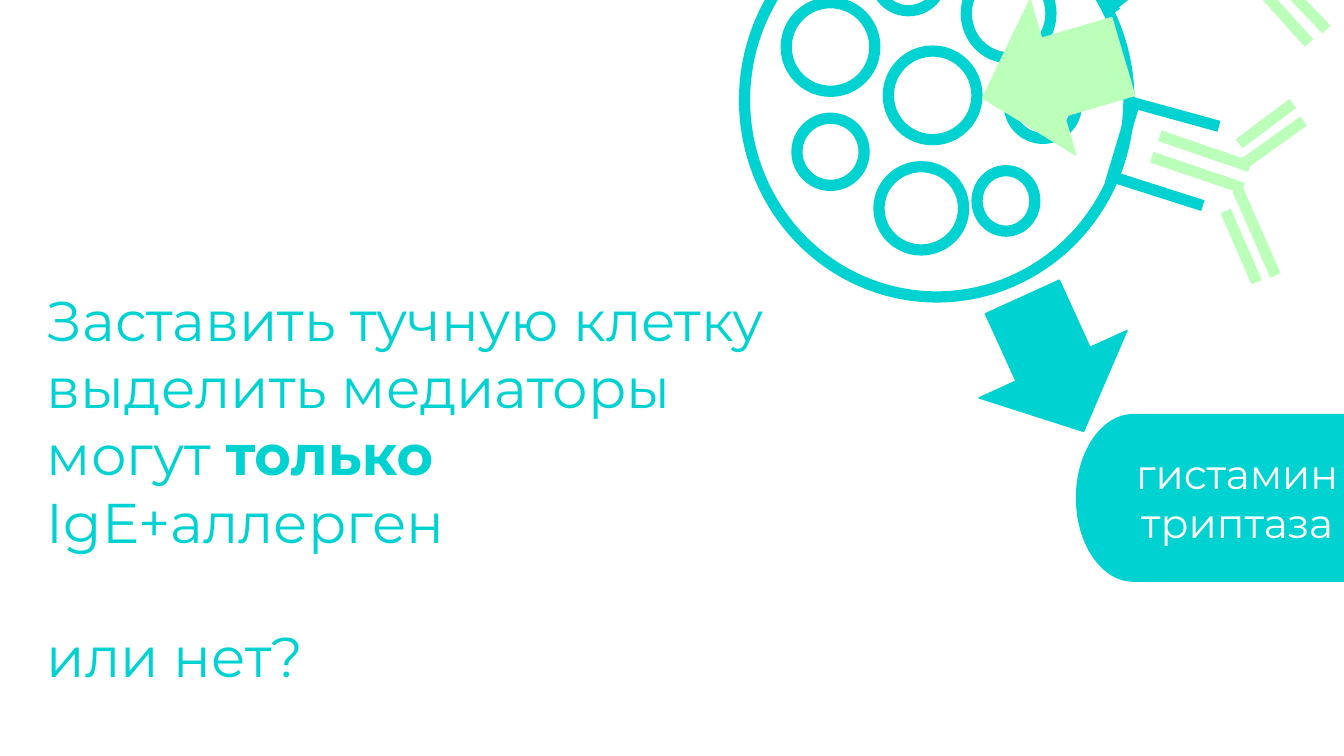
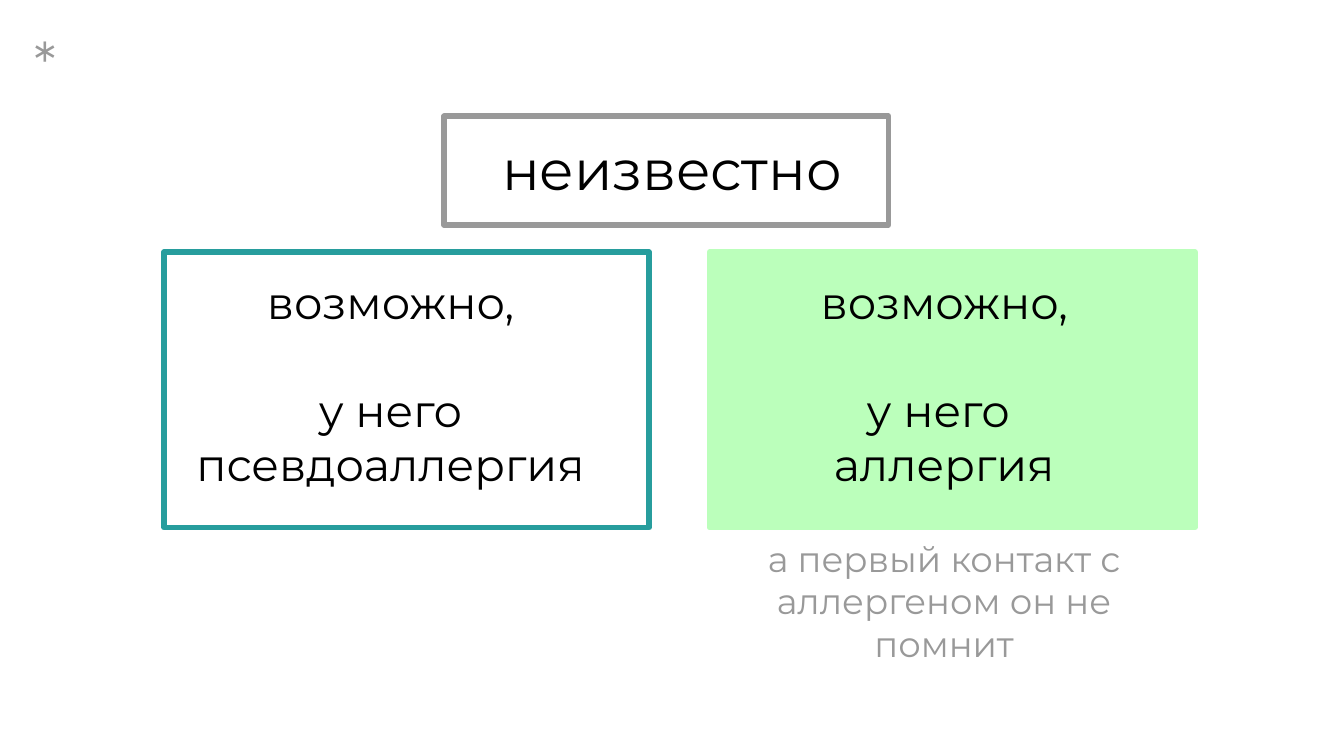
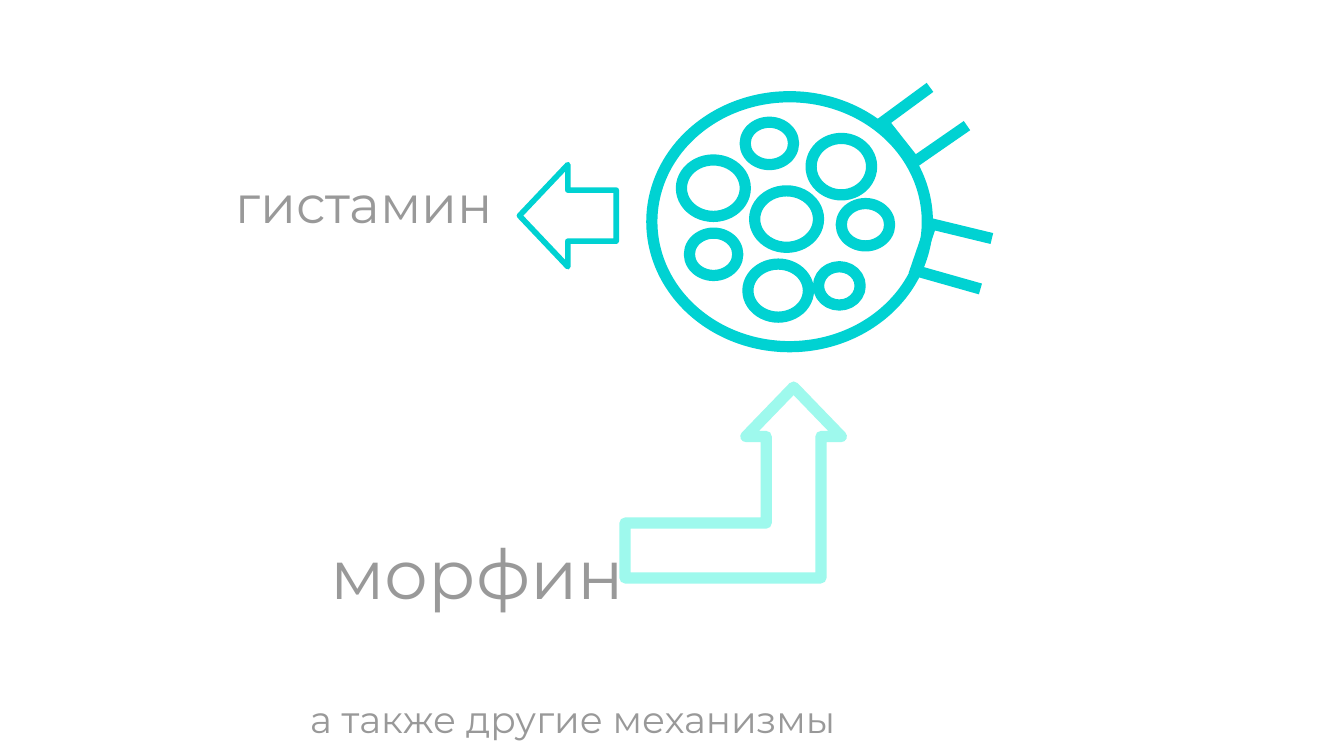
"""Build three slides on how a mast cell can be made to release mediators."""
import pptx
import pptx.dml.color
import pptx.enum.shapes
import pptx.enum.text
import pptx.oxml
import pptx.oxml.ns
import pptx.util

PX = 4572
FONT = "Montserrat"
TEAL, GREEN, MINT, DARK_TEAL = "00D2D2", "BBFFBB", "9EF9ED", "279D9D"
GREY, BLACK, WHITE = "999999", "000000", "FFFFFF"
SHAPE = pptx.enum.shapes.MSO_SHAPE
ALIGN = pptx.enum.text.PP_ALIGN
ANCHOR = pptx.enum.text.MSO_ANCHOR
rgb = pptx.dml.color.RGBColor.from_string


def add_shape(s, kind, box, fill, line, width, rotation=0, adjustments=()):
    sp = s.shapes.add_shape(kind, *[round(v) * PX for v in box])
    sp.shadow.inherit = False
    sp.rotation = rotation
    for i, value in enumerate(adjustments):
        sp.adjustments[i] = value
    if fill:
        sp.fill.solid()
        sp.fill.fore_color.rgb = rgb(fill)
    else:
        sp.fill.background()
    if line:
        sp.line.color.rgb = rgb(line)
        sp.line.width = pptx.util.Pt(width)
    else:
        sp.line.fill.background()


def add_text(s, box, text, size, color, align=ALIGN.LEFT, anchor=ANCHOR.BOTTOM):
    tf = s.shapes.add_textbox(*[v * PX for v in box]).text_frame
    tf.word_wrap = True
    tf.vertical_anchor = anchor
    tf.margin_left = tf.margin_right = tf.margin_top = tf.margin_bottom = 20 * PX
    tf.text = text
    for p in tf.paragraphs:
        p.alignment = align
        for r in p.runs:
            r.font.name = FONT
            r.font.size = pptx.util.Pt(size)
            r.font.color.rgb = rgb(color)
    return tf


prs = pptx.Presentation()
prs.slide_width, prs.slide_height = 2000 * PX, 1125 * PX
question, unknown, morphine = [
    prs.slides.add_slide(prs.slide_layouts[6]) for _ in range(3)]

cell = (0, 0, 572, 586)
granules = [
    (194, 60, 100, 100), (214, 220, 132, 132), (330, 98, 126, 132),
    (394, 250, 100, 100), (346, 398, 86, 90), (200, 392, 126, 124),
    (62, 148, 132, 132), (78, 320, 100, 100),
]
receptors = [
    (480, 58, 552, 162), (542, 156, 654, 68), (580, 298, 544, 418),
    (568, 294, 706, 332), (544, 406, 682, 450),
]
upper_arm = (468, 70, 578, -22)
antibodies = [
    (1714, 234, 1850, 280), (1726, 202, 1860, 248), (1842, 282, 1898, 410),
    (1848, 246, 1940, 180), (1824, 314, 1870, 420), (1924, 154, 1844, 214),
    (1880, -54, 1974, 44), (1874, -18, 1948, 64),
]

lines = [(question, GREEN, ends) for ends in antibodies]
for s, left, top, width, height, arms in [
        (question, 1108, -144, 572, 586, receptors),
        (morphine, 970, 144, 410, 372, receptors + [upper_arm])]:
    kx, ky = width / cell[2], height / cell[3]
    for x, y, w, h in [cell] + granules:
        box = (left + x * kx, top + y * ky, w * kx, h * ky)
        add_shape(s, SHAPE.OVAL, box, WHITE, TEAL, 6)
    for x1, y1, x2, y2 in arms:
        ends = (left + x1 * kx, top + y1 * ky, left + x2 * kx, top + y2 * ky)
        lines.append((s, TEAL, ends))

for s, color, ends in lines:
    c = s.shapes.add_connector(
        pptx.enum.shapes.MSO_CONNECTOR.STRAIGHT, *[round(v) * PX for v in ends])
    c.line.color.rgb = rgb(color)
    c.line.width = pptx.util.Pt(6)
    c._element.spPr.append(
        pptx.oxml.parse_xml("<a:effectLst %s/>" % pptx.oxml.ns.nsdecls("a")))

s = question
add_shape(s, SHAPE.DOWN_ARROW, (1446, 6, 242, 218), GREEN, GREEN, 0.75, 73.6)
add_shape(s, SHAPE.DOWN_ARROW, (1446, 432, 242, 220), TEAL, TEAL, 0.75, 335.5)
add_shape(s, SHAPE.FLOWCHART_TERMINATOR, (1601, 616, 534, 250), TEAL, None, 0)
add_text(s, (1609, 647, 464, 188), "гистамин\nтриптаза", 22, WHITE,
         ALIGN.CENTER, ANCHOR.TOP)
tf = add_text(
    s, (50, 189, 1170, 856),
    "Заставить тучную клетку выделить медиаторы могут \nIgE+аллерген\nили нет?",
    30, TEAL)
r = tf.paragraphs[0].add_run()
r.text = "только"
r.font.name = FONT
r.font.size = pptx.util.Pt(30)
r.font.bold = True
r.font.color.rgb = rgb(TEAL)
tf.paragraphs[2].space_before = pptx.util.Pt(36)

s = unknown
add_shape(s, SHAPE.RECTANGLE, (1056, 375, 722, 410), GREEN, GREEN, 3)
add_shape(s, SHAPE.RECTANGLE, (244, 375, 722, 410), None, DARK_TEAL, 3)
add_shape(s, SHAPE.RECTANGLE, (661, 173, 661, 162), None, GREY, 3)
add_text(s, (378, 180, 1244, 140), "неизвестно", 30, BLACK, ALIGN.CENTER)
for left, text in [(264, "возможно,\nу него псевдоаллергия"),
                   (1088, "возможно,\nу него \nаллергия")]:
    tf = add_text(s, (left, 410, 634, 340), text, 24, BLACK, ALIGN.CENTER)
    tf.paragraphs[1].space_before = pptx.util.Pt(29)
add_text(s, (1088, 669, 634, 340), "а первый контакт с аллергеном он не помнит",
         19, GREY, ALIGN.CENTER)
add_text(s, (32, 21, 1572, 142), "*", 30, GREY, anchor=ANCHOR.TOP)

s = morphine
add_shape(s, SHAPE.BENT_UP_ARROW, (930, 576, 322, 284), WHITE, MINT, 6,
          adjustments=(0.287, 0.25, 0.259))
add_shape(s, SHAPE.LEFT_ARROW, (773, 245, 144, 152), WHITE, TEAL, 3)
for box, text, size in [((331, 216, 504, 152), "гистамин", 28),
                        ((442, 983, 1214, 140), "а также другие механизмы", 20),
                        ((472, 609, 504, 324), "морфин", 37)]:
    add_text(s, box, text, size, GREY)

prs.save("out.pptx")
